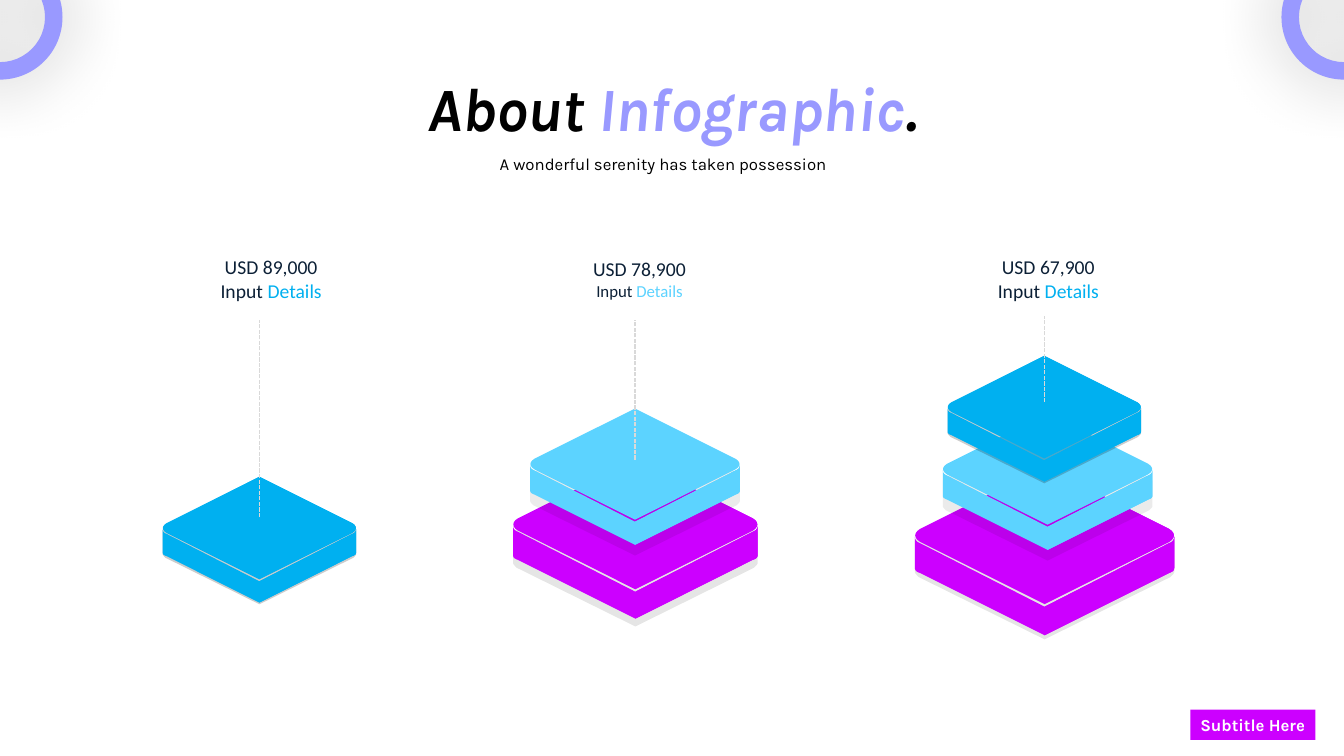
from dataclasses import dataclass

from lxml.etree import SubElement
from pptx import Presentation
from pptx.dml.color import RGBColor
from pptx.enum.dml import MSO_LINE
from pptx.enum.shapes import MSO_CONNECTOR, MSO_SHAPE
from pptx.enum.text import MSO_ANCHOR, MSO_AUTO_SIZE, PP_ALIGN
from pptx.oxml.ns import qn
from pptx.util import Inches, Pt

# Grid of 40 columns by 22.5 rows; every length below is in cells
COLUMNS, ROWS = 40, 22.5
CELL = Inches(40 / 3) / COLUMNS

BLACK = RGBColor(0x00, 0x00, 0x00)
SHADE = RGBColor(0x01, 0x01, 0x01)
WHITE = RGBColor(0xFF, 0xFF, 0xFF)
NAVY = RGBColor(0x0C, 0x20, 0x36)
BLUE = RGBColor(0x00, 0xB0, 0xF0)
SKY = RGBColor(0x5C, 0xD3, 0xFF)
MAGENTA = RGBColor(0xCC, 0x00, 0xFF)
LILAC = RGBColor(0x99, 0x99, 0xFF)
GREY = RGBColor(0xD9, 0xD9, 0xD9)

TITLE = {"name": "Karla", "size": Pt(44), "bold": True, "italic": True}
SUBTITLE = {"name": "Karla", "size": Pt(12), "bold": False}
BADGE = {"name": "Karla", "size": Pt(12), "bold": True}
AMOUNT = {"name": "Calibri", "size": Pt(14)}
DETAILS_SMALL = {"name": "Calibri", "size": Pt(12)}


@dataclass
class Tile:
    center: float
    top: float
    half: float
    color: RGBColor
    drop: float
    shade: int
    facet: bool = True


TILES = [
    Tile(7.72, 14.19, 2.88, BLUE, 0.08, 20),
    Tile(18.91, 13.68, 3.64, MAGENTA, 0.27, 10),
    Tile(18.9, 12.16, 3.12, SKY, 0.35, 8, False),
    Tile(31.09, 13.89, 3.86, MAGENTA, 0.16, 10),
    Tile(31.18, 12.31, 3.12, SKY, 0.35, 8, False),
    Tile(31.08, 10.59, 2.88, BLUE, 0.08, 20),
]
# Column, lower end, upper end
LEADERS = [(7.72, 15.39, 9.51), (18.9, 13.68, 9.51), (31.08, 11.97, 9.42)]
# Amount, box, font of the second line, accent
LABELS = [
    ("USD 89,000", (6.24, 7.44, 3.66, 1.71), AMOUNT, BLUE),
    ("USD 78,900", (17.34, 7.5, 3.39, 1.62), DETAILS_SMALL, SKY),
    ("USD 67,900", (29.37, 7.44, 3.66, 1.71), AMOUNT, BLUE),
]


def cells(*lengths):
    return [round(length * CELL) for length in lengths]


def curve(start, first, second, end, steps=6):
    """Points along a cubic Bezier curve."""
    points = []
    for step in range(steps + 1):
        t = step / steps
        weights = ((1 - t) ** 3, 3 * t * (1 - t) ** 2, 3 * t * t * (1 - t), t ** 3)
        points.append(tuple(
            sum(w * p[axis] for w, p in zip(weights, (start, first, second, end)))
            for axis in (0, 1)))
    return points


def mirror(points):
    return [(-x, y) for x, y in reversed(points)]


# Tile outlines in half widths, measured from the back corner
CORNER = curve((0.96, 0.48), (1.01, 0.51), (1.01, 0.55), (0.96, 0.58))
TOP = [(0, 0), *CORNER, (0, 1.06), *mirror(CORNER)]
FACET = [(0.1, 1.0), *reversed(CORNER), (0, 0), (-0.61, 0.31)]
SIDE = [(0, 1.08), *curve((0.96, 0.59), (0.99, 0.58), (1, 0.56), (1, 0.54)),
        *curve((1, 0.78), (1, 0.8), (0.99, 0.81), (0.96, 0.82)), (0, 1.3)]
RIM = [*curve((0.96, 0.49), (0.99, 0.5), (1, 0.52), (1, 0.54)),
       *curve((1, 0.77), (1, 0.78), (0.99, 0.79), (0.97, 0.81))]
SHADOW = [(0, 0), *RIM, (0, 1.29), *mirror(RIM)]


def apply_format(target, values):
    for attribute, value in values.items():
        setattr(target, attribute, value)


def add_face(group, tile, contours, color, drop=0, opacity=None):
    def place(points):
        return [tuple(cells(tile.center + x * tile.half, tile.top + drop + y * tile.half))
                for x, y in points]

    outlines = [place(points) for points in contours]
    builder = group.shapes.build_freeform(*outlines[0][0])
    builder.add_line_segments(outlines[0][1:])
    for outline in outlines[1:]:
        builder.move_to(*outline[0])
        builder.add_line_segments(outline[1:])
    face = builder.convert_to_shape()
    face.shadow.inherit = False
    face.line.fill.background()
    face.fill.solid()
    face.fill.fore_color.rgb = color
    if opacity:
        swatch = next(face._element.spPr.iter(qn("a:srgbClr")))
        SubElement(swatch, qn("a:alpha"), val=str(opacity * 1000))


def add_tile(slide, tile):
    group = slide.shapes.add_group_shape()
    add_face(group, tile, [SHADOW], SHADE, tile.drop, tile.shade)
    add_face(group, tile, [TOP], tile.color)
    if tile.facet:
        add_face(group, tile, [FACET], tile.color)
    add_face(group, tile, [SIDE, mirror(SIDE)], tile.color)
    add_face(group, tile, [SIDE], tile.color)


def add_leader(slide, column, bottom, top):
    leader = slide.shapes.add_connector(
        MSO_CONNECTOR.STRAIGHT, *cells(column, bottom, column, top))
    apply_format(leader.line, {"width": Pt(1), "dash_style": MSO_LINE.SQUARE_DOT})
    leader.line.color.rgb = GREY
    SubElement(leader._element.spPr, qn("a:effectLst"))


def write(shape, lines, wrap=True, align=PP_ALIGN.CENTER, spacing=None,
          anchor=MSO_ANCHOR.TOP):
    """Each line is a list of (text, font format, colour) runs."""
    frame = shape.text_frame
    apply_format(frame, {"word_wrap": wrap, "auto_size": MSO_AUTO_SIZE.SHAPE_TO_FIT_TEXT,
                         "vertical_anchor": anchor})
    for index, line in enumerate(lines):
        paragraph = frame.add_paragraph() if index else frame.paragraphs[0]
        apply_format(paragraph, {"alignment": align, "space_before": Pt(0),
                                 "line_spacing": spacing})
        for text, font_format, color in line:
            run = paragraph.add_run()
            run.text = text
            apply_format(run.font, font_format)
            run.font.color.rgb = color


def fill_placeholder(placeholder, box, line, spacing=None):
    apply_format(placeholder, dict(zip(("left", "top", "width", "height"), cells(*box))))
    write(placeholder, [line], spacing=spacing)


def add_filled(slide, kind, box, color):
    shape = slide.shapes.add_shape(kind, *cells(*box))
    shape.shadow.inherit = False
    shape.fill.solid()
    shape.fill.fore_color.rgb = color
    shape.line.fill.background()
    return shape


def add_ring(slide, left):
    ring = add_filled(slide, MSO_SHAPE.DONUT, (left, -1.35, 3.72, 3.72), LILAC)
    ring.adjustments[0] = 0.14
    effects = ring._element.spPr.find(qn("a:effectLst"))
    glow = SubElement(effects, qn("a:outerShdw"), blurRad=str(Pt(49)), dist="0",
                      dir="0", algn="ctr", rotWithShape="0")
    swatch = SubElement(glow, qn("a:srgbClr"), val=str(BLACK))
    SubElement(swatch, qn("a:alpha"), val="33000")


def main():
    deck = Presentation()
    deck.slide_width, deck.slide_height = cells(COLUMNS, ROWS)
    slide = deck.slides.add_slide(deck.slide_layouts[0])

    # Heading
    fill_placeholder(slide.shapes.title, (7.11, 1.92, 25.8, 2.52),
                     [("About ", TITLE, BLACK), ("Infographic", TITLE, LILAC),
                      (".", TITLE, BLACK)])
    fill_placeholder(slide.placeholders[1], (13.11, 4.11, 13.26, 1.11),
                     [("A wonderful serenity has taken possession", SUBTITLE, BLACK)], 1.5)

    # Stacks of tiles with their leaders and labels
    for tile in TILES:
        add_tile(slide, tile)
    for leader in LEADERS:
        add_leader(slide, *leader)
    for amount, box, details, accent in LABELS:
        label = slide.shapes.add_textbox(*cells(*box))
        write(label, [[(amount, AMOUNT, NAVY)],
                      [("Input ", details, NAVY), ("Details", details, accent)]], wrap=False)

    # Badge and corner rings
    badge = add_filled(slide, MSO_SHAPE.RECTANGLE, (35.43, 21.12, 3.72, 0.9), MAGENTA)
    write(badge, [[("Subtitle Here", BADGE, WHITE)]], wrap=False, align=PP_ALIGN.LEFT,
          anchor=MSO_ANCHOR.MIDDLE)
    for left in (-1.86, COLUMNS - 1.86):
        add_ring(slide, left)

    deck.save("out.pptx")


if __name__ == "__main__":
    main()
